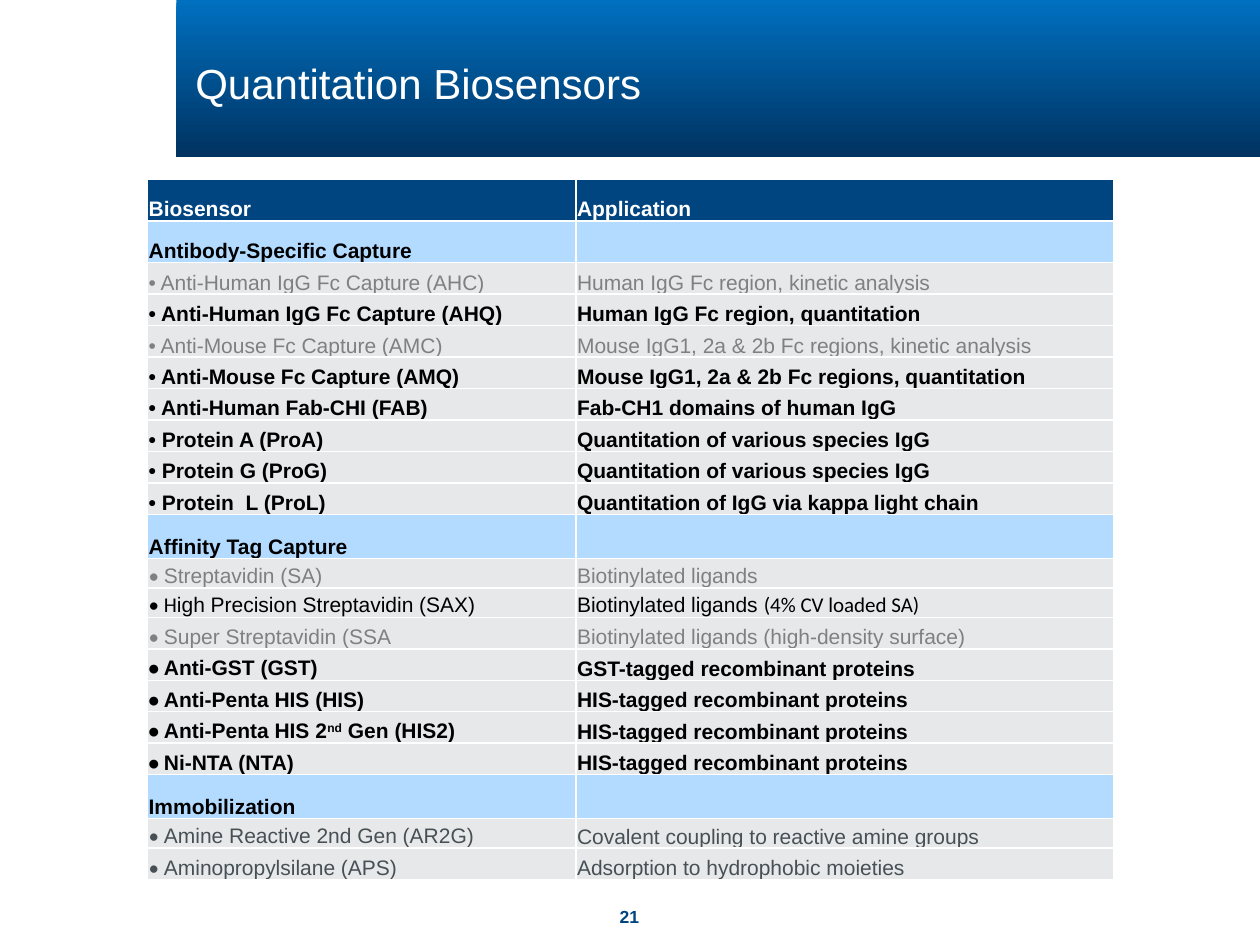
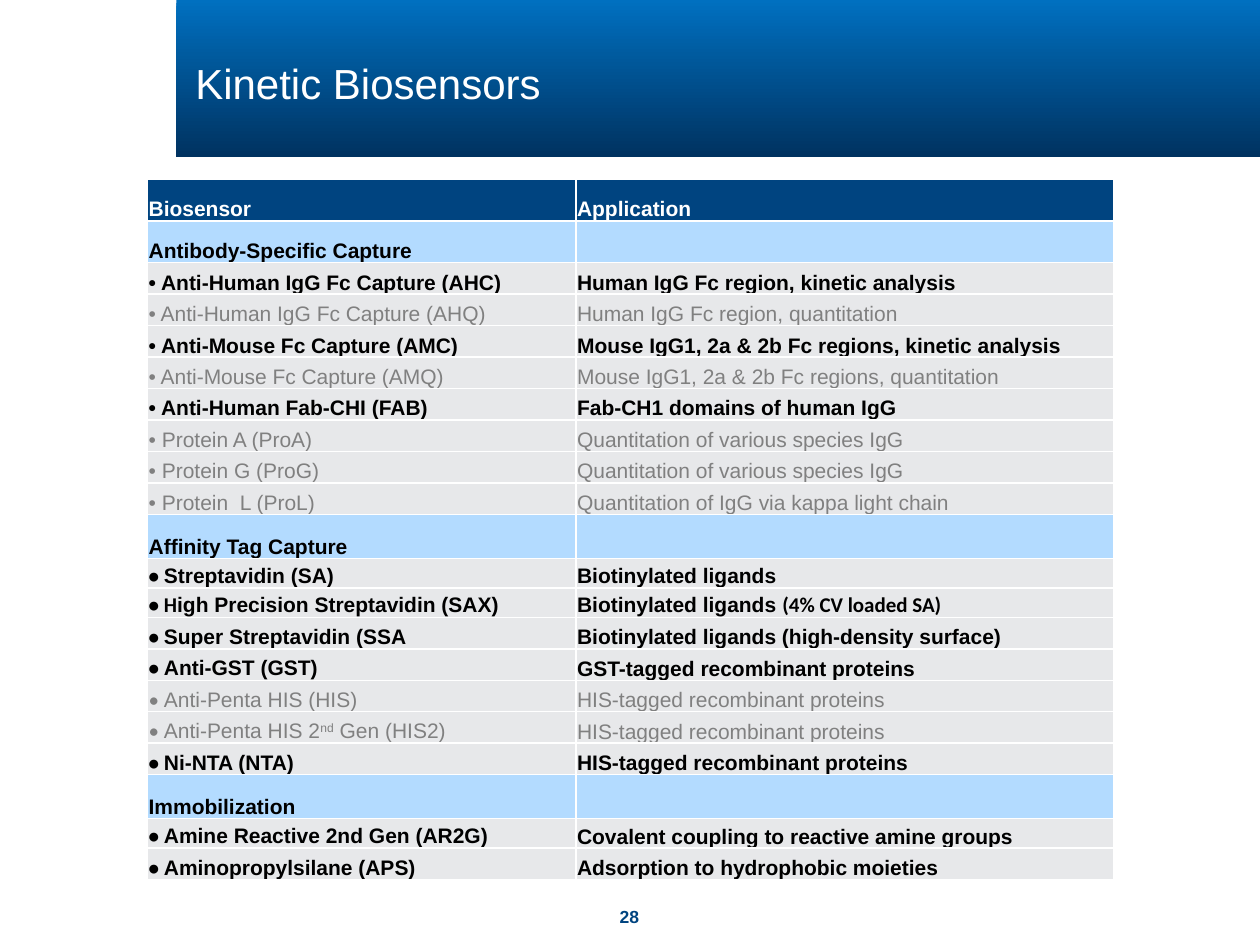
import dataclasses

import lxml.etree
import pptx
import pptx.dml.color
import pptx.enum.shapes
import pptx.enum.text
import pptx.oxml.ns
import pptx.util


@dataclasses.dataclass(frozen=True)
class Theme:
    font: str = "Arial"
    accent_font: str = "Calibri"
    title_size: int = 24
    table_size: int = 12
    number_size: int = 10
    line_spacing: float = 0.85
    white: str = "FFFFFF"
    black: str = "000000"
    muted: str = "808080"
    slate: str = "465055"
    navy: str = "004480"
    band_top: str = "0070C0"
    band_bottom: str = "003260"
    group_fill: str = "B3DBFF"
    row_fill: str = "E7E8EA"


@dataclasses.dataclass(frozen=True)
class Run:
    text: str
    font: str = ""
    superscript: bool = False


@dataclasses.dataclass(frozen=True)
class Style:
    color: str
    bold: bool = False


@dataclasses.dataclass(frozen=True)
class Row:
    height: float
    fill: str
    cells: tuple
    code: str = ""


THEME = Theme()
SLIDE_WIDTH = pptx.util.Inches(10)
SLIDE_HEIGHT = pptx.util.Inches(7.5)

# Places are percentages of the slide: left, top, width, height.
BAND = (14, 0, 86, 16.67)
TITLE = (15.5, 2.93, 81.6, 12.4)
NUMBER = (47.5, 95.87, 4.9, 2.27)
TABLE_LEFT, TABLE_TOP = 11.7, 18.93
COLUMN_WIDTHS = (34, 42.7)
HEADER_HEIGHT, GROUP_HEIGHT, ROW_HEIGHT, TIGHT_HEIGHT = 4.44, 4.67, 3.33, 3.12

HEADING = Style(THEME.white, True)
STRONG = Style(THEME.black, True)
PLAIN = Style(THEME.black)
SLATE = Style(THEME.slate)
MUTED = Style(THEME.muted)


def across(percent):
    return round(SLIDE_WIDTH * percent / 100)


def down(percent):
    return round(SLIDE_HEIGHT * percent / 100)


def place(area):
    left, top, width, height = area
    return across(left), down(top), across(width), down(height)


def rgb(color):
    return pptx.dml.color.RGBColor.from_string(color)


def group(name, height=GROUP_HEIGHT):
    return Row(height, THEME.group_fill, ((Run(name),), ()))


def sensor(code, name, application, height=ROW_HEIGHT):
    """Row whose cells are plain strings or tuples of runs."""
    cells = tuple((Run(cell),) if isinstance(cell, str) else cell
                  for cell in (name, application))
    return Row(height, THEME.row_fill, cells, code)


def antibody(code, name, application):
    return sensor(code, f"• {name} ({code})", application)


def tagged(code, name, application, height=ROW_HEIGHT):
    """Row with its bullet in the accent font."""
    name_runs = (Run(name),) if isinstance(name, str) else name
    return sensor(code, (Run("• ", THEME.accent_font), *name_runs), application, height)


VARIOUS_IGG = "Quantitation of various species IgG"
HIS_TAGGED = "HIS-tagged recombinant proteins"

ROWS = (
    Row(HEADER_HEIGHT, THEME.navy, ((Run("Biosensor"),), (Run("Application"),))),
    group("Antibody-Specific Capture", HEADER_HEIGHT),
    antibody("AHC", "Anti-Human IgG Fc Capture", "Human IgG Fc region, kinetic analysis"),
    antibody("AHQ", "Anti-Human IgG Fc Capture", "Human IgG Fc region, quantitation"),
    antibody("AMC", "Anti-Mouse Fc Capture", "Mouse IgG1, 2a & 2b Fc regions, kinetic analysis"),
    antibody("AMQ", "Anti-Mouse Fc Capture", "Mouse IgG1, 2a & 2b Fc regions, quantitation"),
    antibody("FAB", "Anti-Human Fab-CHI", "Fab-CH1 domains of human IgG"),
    antibody("ProA", "Protein A", VARIOUS_IGG),
    antibody("ProG", "Protein G", VARIOUS_IGG),
    antibody("ProL", "Protein  L", "Quantitation of IgG via kappa light chain"),
    group("Affinity Tag Capture"),
    tagged("SA", "Streptavidin (SA)", "Biotinylated ligands", TIGHT_HEIGHT),
    tagged("SAX", (Run("H", THEME.accent_font), Run("igh Precision Streptavidin (SAX)")),
           (Run("Biotinylated ligands "), Run("(4% CV loaded SA)", THEME.accent_font)),
           TIGHT_HEIGHT),
    tagged("SSA", "Super Streptavidin (SSA", "Biotinylated ligands (high-density surface)"),
    tagged("GST", "Anti-GST (GST)", "GST-tagged recombinant proteins"),
    tagged("HIS", "Anti-Penta HIS (HIS)", HIS_TAGGED),
    tagged("HIS2", (Run("Anti-Penta HIS 2"), Run("nd", superscript=True),
                    Run(" Gen (HIS2)")), HIS_TAGGED),
    tagged("NTA", "Ni-NTA (NTA)", HIS_TAGGED),
    group("Immobilization"),
    tagged("AR2G", "Amine Reactive 2nd Gen (AR2G)",
           "Covalent coupling to reactive amine groups", TIGHT_HEIGHT),
    tagged("APS", "Aminopropylsilane (APS)", "Adsorption to hydrophobic moieties"),
)

QUANTITATION_STYLES = {
    **dict.fromkeys(("AHQ", "AMQ", "FAB", "ProA", "ProG", "ProL",
                     "GST", "HIS", "HIS2", "NTA"), STRONG),
    "SAX": PLAIN, "AR2G": SLATE, "APS": SLATE,
}
KINETIC_STYLES = dict.fromkeys(("AHC", "AMC", "FAB", "SA", "SAX", "SSA",
                                "GST", "NTA", "AR2G", "APS"), STRONG)


def add_run(paragraph, content, size, style):
    run = paragraph.add_run()
    run.text = content.text
    run.font.name = content.font or THEME.font
    run.font.size = pptx.util.Pt(size)
    run.font.bold = style.bold
    run.font.color.rgb = rgb(style.color)
    if content.superscript:
        run.font._element.set("baseline", "30000")


def clear_margins(frame):
    frame.margin_left = frame.margin_right = 0
    frame.margin_top = frame.margin_bottom = 0


def add_title(slide, text):
    title = slide.shapes.title
    title.left, title.top, title.width, title.height = place(TITLE)
    frame = title.text_frame
    clear_margins(frame)
    frame.word_wrap = True
    frame.auto_size = pptx.enum.text.MSO_AUTO_SIZE.NONE
    frame.vertical_anchor = pptx.enum.text.MSO_ANCHOR.MIDDLE
    paragraph = frame.paragraphs[0]
    paragraph.alignment = pptx.enum.text.PP_ALIGN.LEFT
    paragraph.line_spacing = THEME.line_spacing
    add_run(paragraph, Run(text), THEME.title_size, Style(THEME.white))


def add_band(slide):
    """Gradient band, placed behind the title."""
    band = slide.shapes.add_shape(pptx.enum.shapes.MSO_SHAPE.RECTANGLE, *place(BAND))
    band.shadow.inherit = False
    band.line.fill.background()
    band.fill.gradient()
    band.fill.gradient_angle = 270
    colors = (THEME.band_top, THEME.band_bottom)
    for position, (stop, color) in enumerate(zip(band.fill.gradient_stops, colors)):
        stop.position = position
        stop.color.rgb = rgb(color)
    slide.shapes.title.element.addprevious(band.element)


def add_number(slide, number):
    frame = slide.shapes.add_textbox(*place(NUMBER)).text_frame
    clear_margins(frame)
    frame.word_wrap = True
    paragraph = frame.paragraphs[0]
    paragraph.alignment = pptx.enum.text.PP_ALIGN.CENTER
    add_run(paragraph, Run(str(number)), THEME.number_size, Style(THEME.navy, True))


def add_borders(cell):
    """White one-point lines; the schema wants them ahead of the fill."""
    properties = cell._tc.get_or_add_tcPr()
    name = pptx.oxml.ns.qn
    for index, side in enumerate(("a:lnL", "a:lnR", "a:lnT", "a:lnB")):
        line = lxml.etree.Element(name(side), w=str(pptx.util.Pt(1)))
        fill = lxml.etree.SubElement(line, name("a:solidFill"))
        lxml.etree.SubElement(fill, name("a:srgbClr"), val=THEME.white)
        properties.insert(index, line)


def fill_cell(cell, runs, fill, style):
    cell.margin_left = cell.margin_right = cell.margin_top = pptx.util.Inches(0.01)
    cell.margin_bottom = 0
    cell.vertical_anchor = pptx.enum.text.MSO_ANCHOR.BOTTOM
    cell.fill.solid()
    cell.fill.fore_color.rgb = rgb(fill)
    add_borders(cell)
    paragraph = cell.text_frame.paragraphs[0]
    paragraph.line_spacing = THEME.line_spacing
    for content in runs:
        add_run(paragraph, content, THEME.table_size, style)


def row_style(row, sensor_styles):
    if row.code:
        return sensor_styles.get(row.code, MUTED)
    return HEADING if row.fill == THEME.navy else STRONG


def add_sensor_table(slide, sensor_styles):
    area = (TABLE_LEFT, TABLE_TOP, sum(COLUMN_WIDTHS), sum(row.height for row in ROWS))
    table = slide.shapes.add_table(len(ROWS), len(COLUMN_WIDTHS), *place(area)).table
    table.horz_banding = False
    for column, width in zip(table.columns, COLUMN_WIDTHS):
        column.width = across(width)
    for table_row, row in zip(table.rows, ROWS):
        table_row.height = down(row.height)
        for cell, runs in zip(table_row.cells, row.cells):
            fill_cell(cell, runs, row.fill, row_style(row, sensor_styles))


def add_sensor_slide(presentation, title, number, sensor_styles):
    slide = presentation.slides.add_slide(presentation.slide_layouts.get_by_name("Title Only"))
    add_band(slide)
    add_title(slide, title)
    add_sensor_table(slide, sensor_styles)
    add_number(slide, number)


def main():
    presentation = pptx.Presentation()
    presentation.slide_width = SLIDE_WIDTH
    presentation.slide_height = SLIDE_HEIGHT
    add_sensor_slide(presentation, "Quantitation Biosensors", 21, QUANTITATION_STYLES)
    add_sensor_slide(presentation, "Kinetic Biosensors", 28, KINETIC_STYLES)
    presentation.save("out.pptx")


if __name__ == "__main__":
    main()
